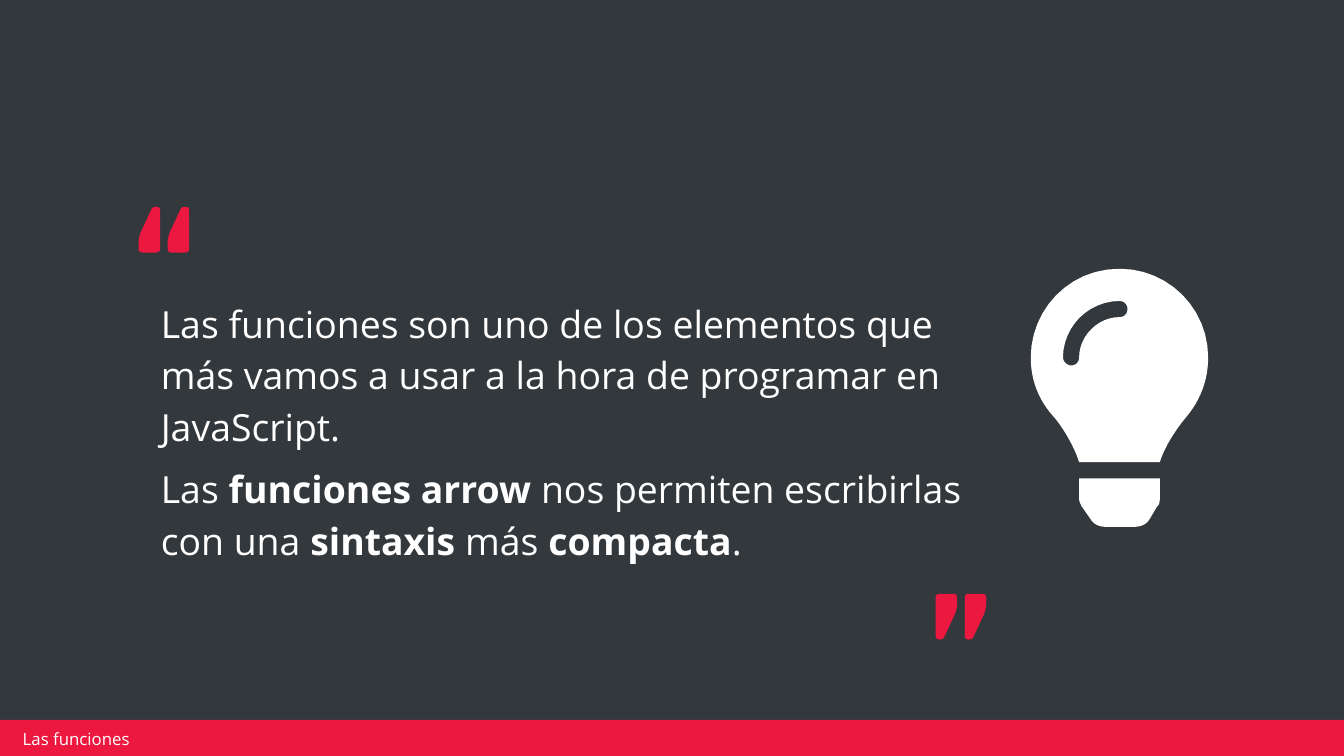
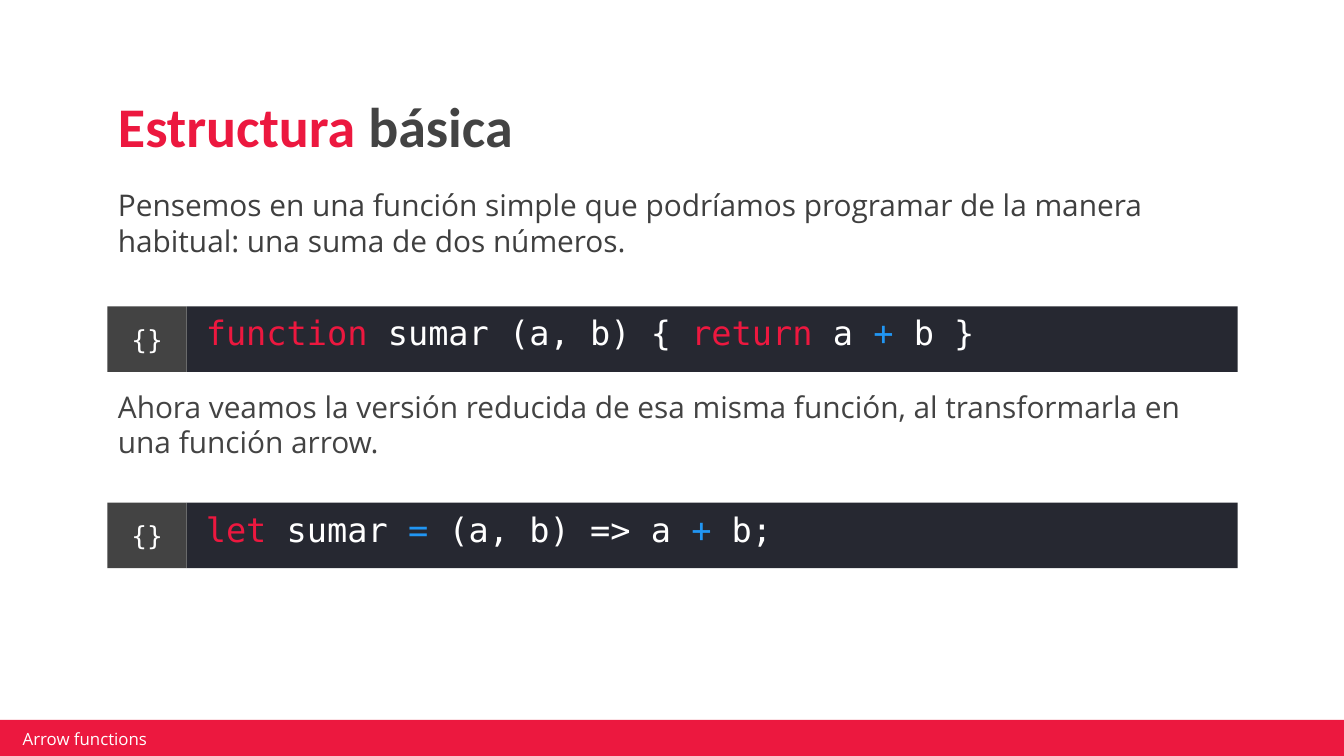
from dataclasses import dataclass

from pptx import Presentation
from pptx.dml.color import RGBColor
from pptx.enum.shapes import MSO_SHAPE
from pptx.enum.text import MSO_ANCHOR, MSO_AUTO_SIZE, PP_ALIGN
from pptx.util import Cm, Pt

RECTANGLE = MSO_SHAPE.RECTANGLE
TOP, MIDDLE, BOTTOM = MSO_ANCHOR.TOP, MSO_ANCHOR.MIDDLE, MSO_ANCHOR.BOTTOM
LEFT, CENTER = PP_ALIGN.LEFT, PP_ALIGN.CENTER
NO_AUTOFIT = MSO_AUTO_SIZE.NONE
TITLE_ONLY, BLANK = 5, 6


@dataclass(frozen=True)
class Theme:
    red: str = "EC183F"
    blue: str = "2196F3"
    white: str = "FFFFFF"
    slate: str = "33383C"
    grey: str = "434343"
    text: str = "3F3F3F"
    code_fill: str = "262831"
    title_font: str = "Calibri"
    body_font: str = "Open Sans"
    code_font: str = "DejaVu Sans Mono"
    title_size: int = 30
    quote_size: int = 20
    code_size: int = 18
    body_size: int = 16
    badge_size: int = 14
    footer_size: int = 9


THEME = Theme()
INSETS = (0.25, 0.25, 0.25, 0.25)
GRID = Cm(2.54) / 100
CURVE_STEPS = 12
MARK_GAP = 0.55

MARK = [
    [(13, 0), (11, 0, 10, 1, 9.5, 2), (3, 16), (1, 20, 0, 23, 0, 27), (0, 31),
     (0, 33, 1, 34, 3, 34), (13, 34), (15, 34, 16, 33, 16, 31), (16, 3),
     (16, 1, 15, 0, 13, 0)],
]
BULB = [
    [(36, 171), (36, 173, 37, 175, 38, 177), (45, 187), (47, 190, 51, 192, 55, 192),
     (78, 192), (82, 192, 86, 190, 88, 187), (94, 177), (96, 175, 96, 173, 96, 171),
     (96, 156), (36, 156)],
    [(0, 66), (0, 83, 6, 98, 17, 110), (23, 117, 32, 131, 36, 144), (96, 144),
     (100, 131, 110, 117, 116, 110), (126, 98, 132, 83, 132, 66),
     (132, 30, 103, 0, 66, 0), (28, 0, 0, 31, 0, 66)],
    [(66, 36), (50, 36, 36, 50, 36, 66), (36, 69, 34, 72, 30, 72),
     (27, 72, 24, 69, 24, 66), (24, 43, 43, 24, 66, 24), (70, 24, 72, 27, 72, 30),
     (72, 33, 70, 36, 66, 36)],
]


def flatten(contour):
    points = [contour[0]]
    for step in contour[1:]:
        if len(step) == 2:
            points.append(step)
            continue
        controls = [points[-1], step[:2], step[2:4], step[4:]]
        for index in range(1, CURVE_STEPS + 1):
            t = index / CURVE_STEPS
            weights = ((1 - t) ** 3, 3 * t * (1 - t) ** 2, 3 * t * t * (1 - t), t ** 3)
            points.append(tuple(
                sum(weight * control[axis] for weight, control in zip(weights, controls))
                for axis in (0, 1)))
    return points


def write(frame, *paragraphs, size, font, color, bold=False, align=LEFT, anchor=TOP,
          insets=INSETS, before=0, spacing=1.0):
    frame.word_wrap = True
    frame.auto_size = NO_AUTOFIT
    frame.vertical_anchor = anchor
    frame.margin_left, frame.margin_top, frame.margin_right, frame.margin_bottom = map(Cm, insets)
    for index, spans in enumerate(paragraphs):
        para = frame.add_paragraph() if index else frame.paragraphs[0]
        para.alignment = align
        para.space_before = Pt(before)
        para.line_spacing = spacing
        for content, changes in [(spans, {})] if isinstance(spans, str) else spans:
            span = para.add_run()
            span.text = content
            span.font.name = font
            span.font.size = Pt(size)
            span.font.bold = changes.get("bold", bold)
            span.font.color.rgb = RGBColor.from_string(changes.get("color", color))


class Deck:
    def __init__(self, theme):
        self.theme = theme
        self.presentation = Presentation()
        self.presentation.slide_width = Cm(25.4)
        self.presentation.slide_height = Cm(14.29)
        self.page = None

    def add_page(self, layout, background):
        self.page = self.presentation.slides.add_slide(self.presentation.slide_layouts[layout])
        fill = self.page.background.fill
        fill.solid()
        fill.fore_color.rgb = RGBColor.from_string(background)

    def paint(self, shape, color):
        shape.shadow.inherit = False
        shape.fill.solid()
        shape.fill.fore_color.rgb = RGBColor.from_string(color)
        shape.line.fill.background()

    def title(self, spans):
        box = self.page.shapes.title
        box.left, box.top, box.width, box.height = map(Cm, (1.98, 1.52, 21.41, 1.75))
        write(box.text_frame, spans, size=self.theme.title_size, font=self.theme.title_font,
              color=self.theme.grey, bold=True, anchor=BOTTOM, spacing=0.9)

    def text(self, area, *paragraphs, **style):
        box = self.page.shapes.add_textbox(*map(Cm, area))
        write(box.text_frame, *paragraphs, font=self.theme.body_font, **style)

    def rectangle(self, area, color):
        shape = self.page.shapes.add_shape(RECTANGLE, *map(Cm, area))
        self.paint(shape, color)
        return shape

    def outline(self, left, top, contours, color, direction=1):
        scaled = [[(x * GRID * direction, y * GRID * direction) for x, y in flatten(contour)]
                  for contour in contours]
        builder = self.page.shapes.build_freeform(*scaled[0][0], scale=1.0)
        for index, points in enumerate(scaled):
            if index:
                builder.move_to(*points[0])
            builder.add_line_segments(points[1:], close=True)
        self.paint(builder.convert_to_shape(Cm(left), Cm(top)), color)

    def quote_marks(self, left, top, direction=1):
        for index in range(2):
            self.outline(left + direction * index * MARK_GAP, top, MARK, self.theme.red, direction)

    def code(self, top, spans):
        bar = self.rectangle((3.53, top, 19.86, 1.24), self.theme.code_fill)
        write(bar.text_frame, spans, size=self.theme.code_size, font=self.theme.code_font,
              color=self.theme.white, anchor=MIDDLE, insets=(0.36, 0, 0.25, 0.25), before=6)
        badge = self.rectangle((2.03, top, 1.5, 1.24), self.theme.grey)
        write(badge.text_frame, "{}", size=self.theme.badge_size, font=self.theme.code_font,
              color=self.theme.white, align=CENTER, anchor=MIDDLE)

    def footer(self, label):
        self.rectangle((-0.05, 13.61, 25.48, 0.69), self.theme.red)
        self.text((0.3, 13.77, 6.07, 0.38), label, size=self.theme.footer_size,
                  color=self.theme.white, anchor=MIDDLE, insets=(0.13, 0.05, 0.13, 0.05))


def build_quote(deck):
    theme = deck.theme
    strong = {"bold": True}
    deck.add_page(BLANK, theme.slate)
    deck.text(
        (2.79, 5.28, 16.48, 5.64),
        "Las funciones son uno de los elementos que más vamos a usar a la hora de programar "
        "en JavaScript.",
        [("Las ", {}), ("funciones arrow ", strong), ("nos permiten escribirlas con una ", {}),
         ("sintaxis", strong), (" más", {}), (" compacta", strong), (".", {})],
        size=theme.quote_size, color=theme.white, anchor=MIDDLE,
        insets=(0.25, 0.13, 0.25, 0.13), before=6, spacing=1.15)
    deck.outline(19.48, 5.08, BULB, theme.white)
    deck.quote_marks(2.62, 3.91)
    deck.quote_marks(18.64, 12.09, direction=-1)
    deck.footer("Las funciones")


def build_structure(deck):
    theme = deck.theme
    keyword, operator = {"color": theme.red}, {"color": theme.blue}
    deck.add_page(TITLE_ONLY, theme.white)
    deck.title([("Estructura", keyword), (" básica", {})])
    examples = [
        (3.28, 5.79, theme.text,
         "Pensemos en una función simple que podríamos programar de la manera habitual: "
         "una suma de dos números.",
         [("function", keyword), (" sumar (a, b) { ", {}), ("return", keyword), (" a ", {}),
          ("+", operator), (" b }", {})]),
        (7.09, 9.5, theme.grey,
         "Ahora veamos la versión reducida de esa misma función, al transformarla en "
         "una función arrow.",
         [("let", keyword), (" sumar ", {}), ("=", operator), (" (a, b) => a ", {}),
          ("+", operator), (" b;", {})]),
    ]
    for text_top, code_top, color, explanation, code in examples:
        deck.text((1.98, text_top, 21.41, 1.35), explanation, size=theme.body_size,
                  color=color, before=6)
        deck.code(code_top, code)
    deck.footer("Arrow functions")


def main():
    deck = Deck(THEME)
    build_quote(deck)
    build_structure(deck)
    deck.presentation.save("out.pptx")


if __name__ == "__main__":
    main()
